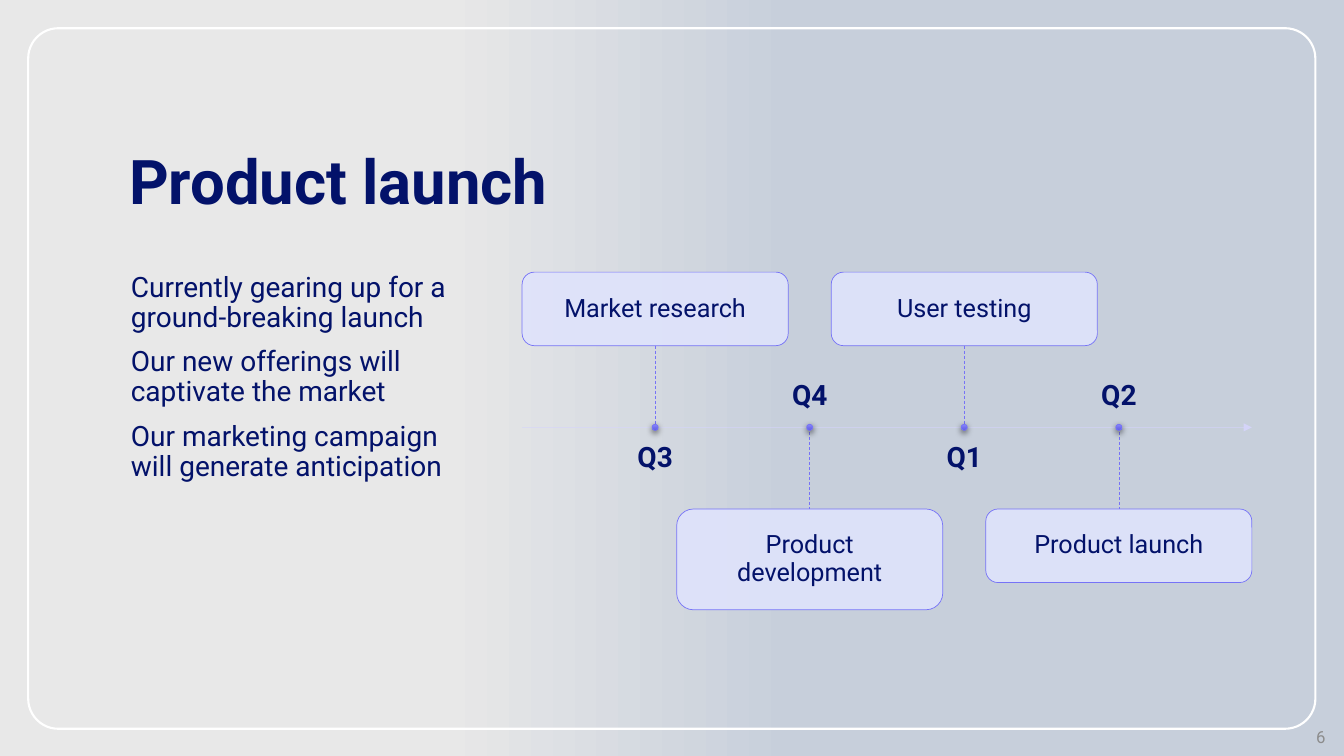
from lxml.etree import SubElement
from pptx import Presentation
from pptx.dml.color import RGBColor
from pptx.enum.dml import MSO_LINE
from pptx.enum.shapes import MSO_CONNECTOR, MSO_SHAPE
from pptx.enum.text import MSO_ANCHOR, MSO_AUTO_SIZE, PP_ALIGN
from pptx.oxml import parse_xml
from pptx.oxml.ns import nsdecls, qn
from pptx.util import Pt

PX = 9144
FONT, NAVY, VIOLET, LILAC = "Roboto", "03126A", "7673F7", "DFE3FC"
BODY = [
    "Currently gearing up for a ground-breaking launch",
    "Our new offerings will captivate the market",
    "Our marketing campaign will generate anticipation",
]
STAGES = [
    ("Q3", "Market research", 73),
    ("Q4", "Product development", 100),
    ("Q1", "User testing", 73),
    ("Q2", "Product launch", 73),
]


def px(*lengths):
    """Turn px lengths into whole EMU."""
    return [round(n * PX) for n in lengths]


def paint(target, color, alpha=100):
    """Give a fill or line format a solid colour and opacity in percent."""
    fill = getattr(target, "fill", target)
    fill.solid()
    fill.fore_color.rgb = RGBColor.from_string(color)
    if alpha < 100:
        node = fill._xPr.find(qn("a:solidFill"))[0]
        SubElement(node, qn("a:alpha"), val=str(alpha * 1000))


def gradient(fill, angle, stops):
    """Apply a two-stop linear gradient of (position, colour) pairs."""
    fill.gradient()
    fill.gradient_angle = angle
    for stop, (pos, color) in zip(fill.gradient_stops, stops):
        stop.position = pos
        stop.color.rgb = RGBColor.from_string(color)


def write(tf, lines, size, color=NAVY, bold=False, align=PP_ALIGN.LEFT,
          anchor=MSO_ANCHOR.TOP, inset=(10, 5), before=0, spacing=0.9):
    """Fill a text frame with one paragraph per line."""
    tf.word_wrap = True
    tf.auto_size = MSO_AUTO_SIZE.NONE
    tf.vertical_anchor = anchor
    tf.margin_left, tf.margin_top = tf.margin_right, tf.margin_bottom = px(*inset)
    for i, line in enumerate(lines):
        p = tf.add_paragraph() if i else tf.paragraphs[0]
        p.alignment, p.line_spacing, p.space_before = align, spacing, Pt(before)
        r = p.add_run()
        r.text = line
        r.font.name, r.font.size, r.font.bold = FONT, Pt(size), bold
        r.font.color.rgb = RGBColor.from_string(color)


def add_text(s, box, lines, size, **style):
    """Add a text box."""
    write(s.shapes.add_textbox(*px(*box)).text_frame, lines, size, **style)


def add_shape(s, kind, box, line, width):
    """Add an outlined preset shape without a shadow."""
    sp = s.shapes.add_shape(kind, *px(*box))
    sp.shadow.inherit = False
    paint(sp.line, line)
    sp.line.width = Pt(width)
    return sp


def add_line(s, x1, y1, x2, y2, color, alpha=100):
    """Add a thin straight connector."""
    c = s.shapes.add_connector(MSO_CONNECTOR.STRAIGHT, *px(x1, y1, x2, y2))
    paint(c.line, color, alpha)
    c.line.width = Pt(0.5)
    SubElement(c._element.spPr, qn("a:effectLst"))
    return c


def add_dot(s, x, y):
    """Add a shaded milestone dot centred on a point."""
    sp = add_shape(s, MSO_SHAPE.OVAL, (x - 3, y - 3, 6, 6), VIOLET, 0.5)
    gradient(sp.fill, 270, [(0, "8886FA"), (1, "605DE5")])
    sp._element.spPr.find(qn("a:effectLst")).append(parse_xml(
        f'<a:outerShdw {nsdecls("a")} blurRad="57150" dist="19050" dir="5400000" '
        'algn="ctr" rotWithShape="0"><a:srgbClr val="000000">'
        '<a:alpha val="63000"/></a:srgbClr></a:outerShdw>'))


def add_backdrop(s, x, y, w, h):
    """Draw the gradient background and its rounded frame."""
    gradient(s.background.fill, 0, [(0.33, "E8E8E8"), (0.59, "C7CFDB")])
    frame = add_shape(s, MSO_SHAPE.ROUNDED_RECTANGLE, (x, y, w, h), "FFFFFF", 1.5)
    frame.adjustments[0] = 0.043
    frame.fill.background()


def add_title(s, x, y, w, h, text):
    """Place and fill the title placeholder."""
    sp = s.shapes.title
    sp.left, sp.top, sp.width, sp.height = px(x, y, w, h)
    write(sp.text_frame, [text], 44, bold=True, anchor=MSO_ANCHOR.BOTTOM)


def add_timeline(s, x, y, w, h):
    """Draw the quarter axis with cards alternating above and below it."""
    card_w, label_w, label_h = 264, 232, 48
    axis, low = y + 154, y + 235
    step = (w - card_w) / (len(STAGES) - 1)
    arrow = add_line(s, x, axis, x + w, axis, "D6D5FC", 90)
    SubElement(arrow.line._ln, qn("a:tailEnd"), type="triangle")
    for i, (quarter, stage, card_h) in enumerate(STAGES):
        cx = x + card_w / 2 + i * step
        above = i % 2 == 0
        top = y if above else low
        card = add_shape(s, MSO_SHAPE.ROUNDED_RECTANGLE,
                         (cx - card_w / 2, top, card_w, card_h), VIOLET, 0.5)
        paint(card.fill, LILAC, 90)
        write(card.text_frame, [stage], 18, align=PP_ALIGN.CENTER,
              anchor=MSO_ANCHOR.MIDDLE, inset=(20, 17))
        ends = (y + card_h, axis) if above else (axis, low)
        stem = add_line(s, cx, ends[0], cx, ends[1], VIOLET)
        stem.line.dash_style = MSO_LINE.DASH
        label_y = axis + 16 if above else axis - 16 - label_h
        add_text(s, (cx - label_w / 2, label_y, label_w, label_h), [quarter], 20,
                 bold=True, align=PP_ALIGN.CENTER, inset=(0, 0),
                 anchor=MSO_ANCHOR.TOP if above else MSO_ANCHOR.BOTTOM)
        add_dot(s, cx, axis)


def main():
    """Build and save the slide."""
    prs = Presentation()
    prs.slide_width, prs.slide_height = px(1333.33, 750)
    s = prs.slides.add_slide(prs.slide_layouts[5])
    add_backdrop(s, 28, 28, 1277, 695)
    add_title(s, 118, 40, 1149, 181, "Product launch")
    add_text(s, (120, 266, 340, 373), BODY, 20, before=10)
    add_timeline(s, 518, 270, 724, 335)
    add_text(s, (1025, 718, 300, 25), ["6"], 12, color="8C8C8C", spacing=1.0,
             align=PP_ALIGN.RIGHT, anchor=MSO_ANCHOR.MIDDLE)
    prs.save("out.pptx")


if __name__ == "__main__":
    main()
